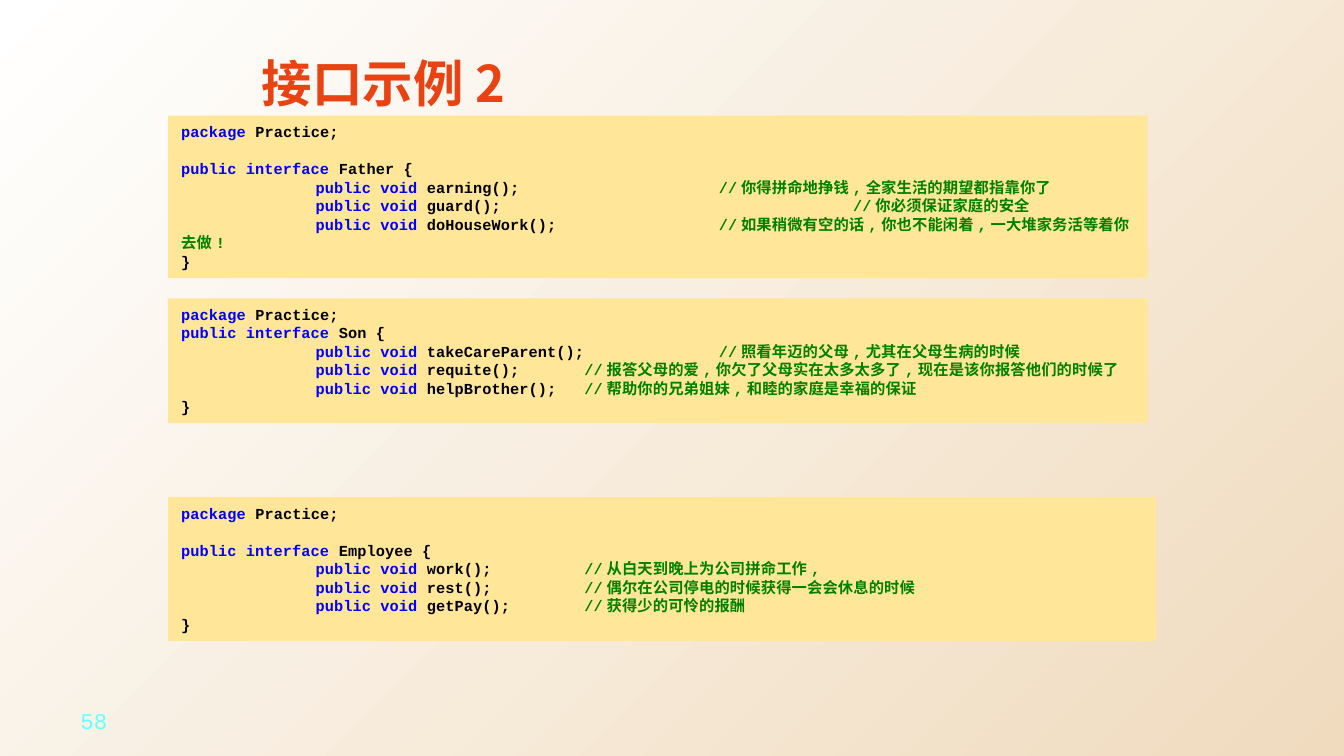
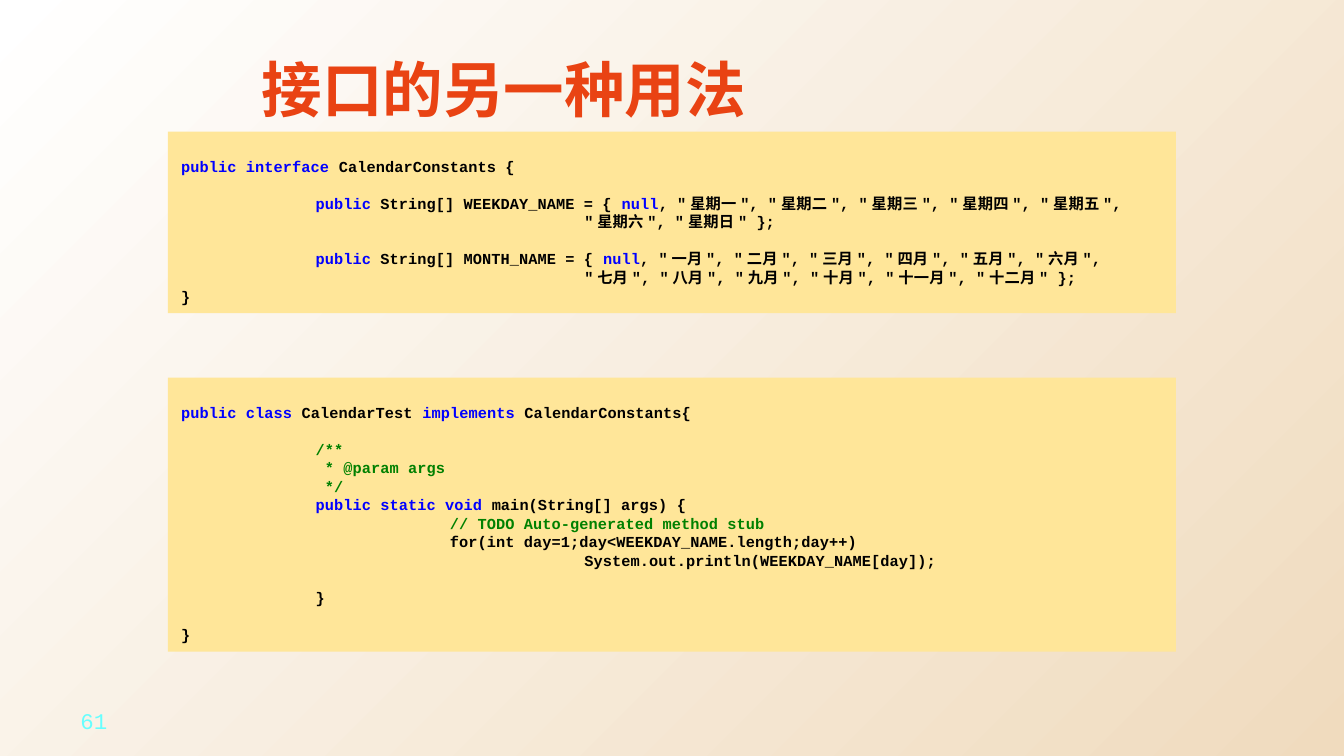
from lxml.etree import SubElement
from pptx import Presentation
from pptx.dml.color import RGBColor
from pptx.enum.shapes import MSO_SHAPE
from pptx.enum.text import MSO_ANCHOR, PP_ALIGN
from pptx.oxml.ns import qn
from pptx.util import Inches, Pt

TAN = RGBColor(0xF0, 0xDB, 0xBE)
WHITE = RGBColor(0xFF, 0xFF, 0xFF)
CREAM = RGBColor(0xFF, 0xE6, 0x99)
RED = RGBColor(0xE9, 0x43, 0x13)
CYAN = RGBColor(0x66, 0xFF, 0xFF)
BLUE = RGBColor(0x00, 0x00, 0xFF)
GREEN = RGBColor(0x00, 0x80, 0x00)
BLACK = RGBColor(0x00, 0x00, 0x00)
MONO = "Courier New"
SANS = "Noto Sans CJK SC"
PITCH = 9.92

FATHER = """`package` Practice;

`public interface` Father {
\t`public void` earning();\t\t~//你得拼命地挣钱,全家生活的期望都指靠你了
\t`public void` guard();\t\t\t~//你必须保证家庭的安全
\t`public void` doHouseWork();\t\t~//如果稍微有空的话,你也不能闲着,一大堆家务活等着你去做!
}"""
SON = """`package` Practice;
`public interface` Son {
\t`public void` takeCareParent();\t~//照看年迈的父母,尤其在父母生病的时候
\t`public void` requite();\t~//报答父母的爱,你欠了父母实在太多太多了,现在是该你报答他们的时候了
\t`public void` helpBrother();\t~//帮助你的兄弟姐妹,和睦的家庭是幸福的保证
}"""
WORKER = """`package` Practice;

`public interface` Employee {
\t`public void` work();\t~//从白天到晚上为公司拼命工作,
\t`public void` rest();\t~//偶尔在公司停电的时候获得一会会休息的时候
\t`public void` getPay();\t~//获得少的可怜的报酬
}"""
NAMES = """
`public interface` CalendarConstants {

\t`public` String[] WEEKDAY_NAME = { `null`, "星期一", "星期二", "星期三", "星期四", "星期五",
\t\t\t"星期六", "星期日" };

\t`public` String[] MONTH_NAME = { `null`, "一月", "二月", "三月", "四月", "五月", "六月",
\t\t\t"七月", "八月", "九月", "十月", "十一月", "十二月" };
}"""
TEST = """
`public class` CalendarTest `implements` CalendarConstants{

\t~/**
\t~ * @param args
\t~ */
\t`public static void` main(String[] args) {
\t\t~// TODO Auto-generated method stub
\t\tfor(int day=1;day<WEEKDAY_NAME.length;day++)
\t\t\tSystem.out.println(WEEKDAY_NAME[day]);

\t}

}"""


class Deck:
    """Holds the shared style and the current slide."""

    def __init__(self):
        self.prs = Presentation()
        self.prs.slide_width = Inches(10)
        self.prs.slide_height = Inches(10) * 9 // 16

    def page(self, title, size, number):
        self.slide = self.prs.slides.add_slide(self.prs.slide_layouts[6])
        self.paint()
        self.label(number, (0.5, 5.21, 2.33, 0.3), MONO, 12, CYAN)
        head = self.label(title, (1.85, 0.39, 7.65, 0.43), SANS, size, RED, True)
        head.margin_top = head.margin_bottom = 0
        head.vertical_anchor = MSO_ANCHOR.TOP

    def paint(self):
        fill = self.slide.background.fill
        fill.gradient()
        for stop, color in zip(fill.gradient_stops, (TAN, WHITE)):
            stop.color.rgb = color
        grad = next(self.slide._element.iter(qn("a:gradFill")))
        grad.remove(grad.find(qn("a:lin")))
        ring = SubElement(grad, qn("a:path"), {"path": "circle"})
        SubElement(ring, qn("a:fillToRect"), {"l": "100000", "t": "100000"})

    def style(self, para, face, size, color, bold):
        font = para.font
        font.name, font.size, font.bold = face, Pt(size), bold
        if color is not None:
            font.color.rgb = color
        SubElement(font._element, qn("a:ea"), {"typeface": SANS})

    def label(self, text, area, face, size, color, bold=False):
        frame = self.slide.shapes.add_textbox(*map(Inches, area)).text_frame
        frame.word_wrap = True
        frame.vertical_anchor = MSO_ANCHOR.MIDDLE
        para = frame.paragraphs[0]
        para.text = text
        self.style(para, face, size, color, bold)
        return frame

    def code(self, text, top, width, height):
        area = map(Inches, (1.25, top, width, height))
        box = self.slide.shapes.add_shape(MSO_SHAPE.RECTANGLE, *area)
        box.shadow.inherit = False
        box.fill.solid()
        box.fill.fore_color.rgb = CREAM
        box.line.fill.background()
        frame = box.text_frame
        frame.word_wrap = True
        frame.vertical_anchor = MSO_ANCHOR.TOP
        para, gap = None, 0
        for line in text.split("\n"):
            if not line:
                gap += PITCH
                continue
            if para is None:
                para = frame.paragraphs[0]
                frame.margin_top = Inches(0.05) + Pt(gap)
            else:
                para = frame.add_paragraph()
                para.space_before = Pt(gap)
            gap = 0
            self.line(para, line)

    def line(self, para, text):
        para.alignment = PP_ALIGN.LEFT
        para.line_spacing = Pt(PITCH)
        self.style(para, MONO, 8.25, None, True)
        para._p.get_or_add_pPr().set("defTabSz", str(Inches(1)))
        body, _, note = text.partition("~")
        parts = [(part, BLUE if i % 2 else BLACK)
                 for i, part in enumerate(body.split("`"))]
        for part, color in parts + [(note, GREEN)]:
            if part:
                run = para.add_run()
                run.text = part
                run.font.color.rgb = color


def main():
    deck = Deck()
    deck.page("接口示例2", 27, "58")
    deck.code(FATHER, 0.86, 7.29, 1.21)
    deck.code(SON, 2.22, 7.29, 0.93)
    deck.code(WORKER, 3.7, 7.35, 1.07)
    deck.page("接口的另一种用法", 32.4, "61")
    deck.code(NAMES, 0.98, 7.5, 1.35)
    deck.code(TEST, 2.81, 7.5, 2.04)
    deck.prs.save("out.pptx")


if __name__ == "__main__":
    main()
